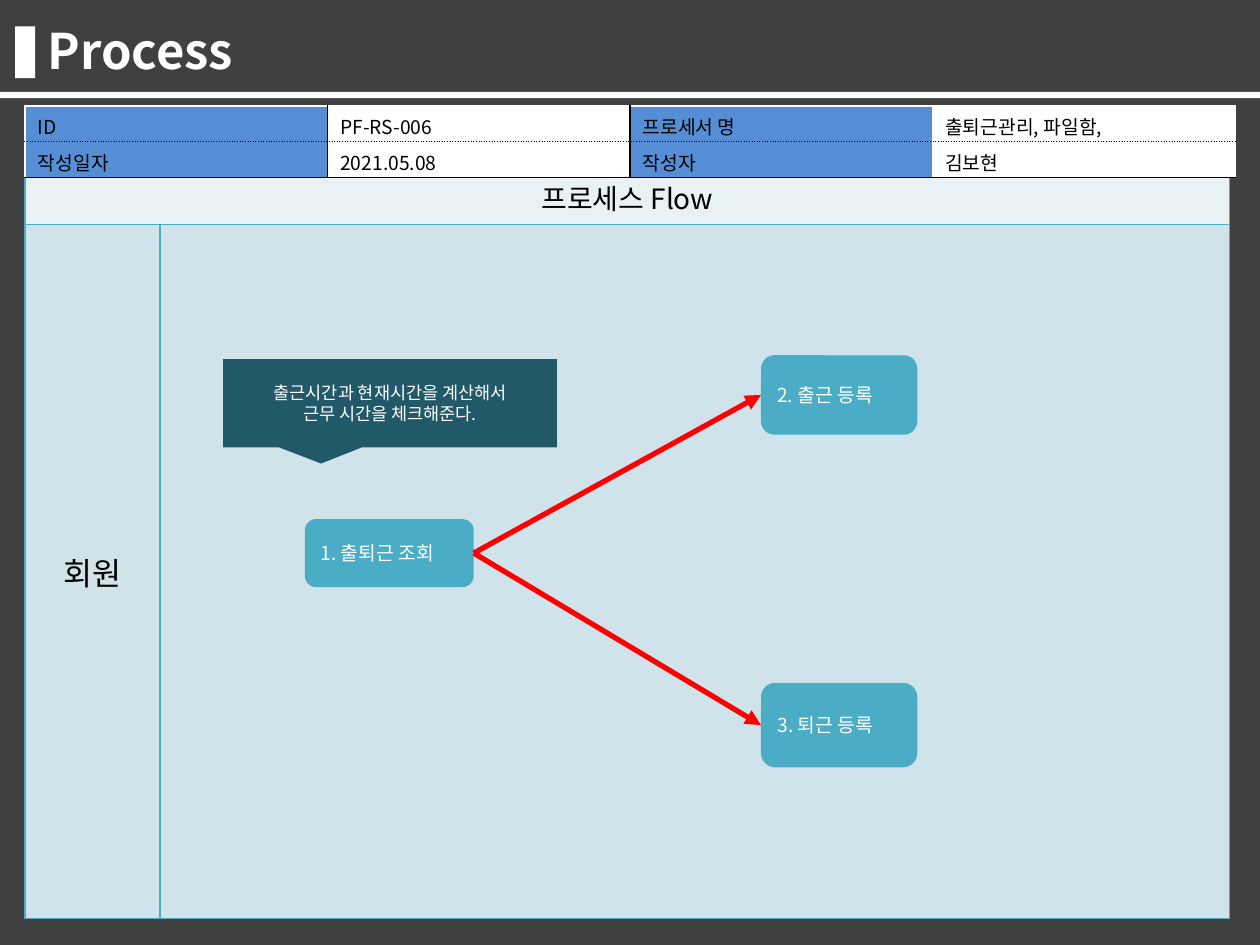
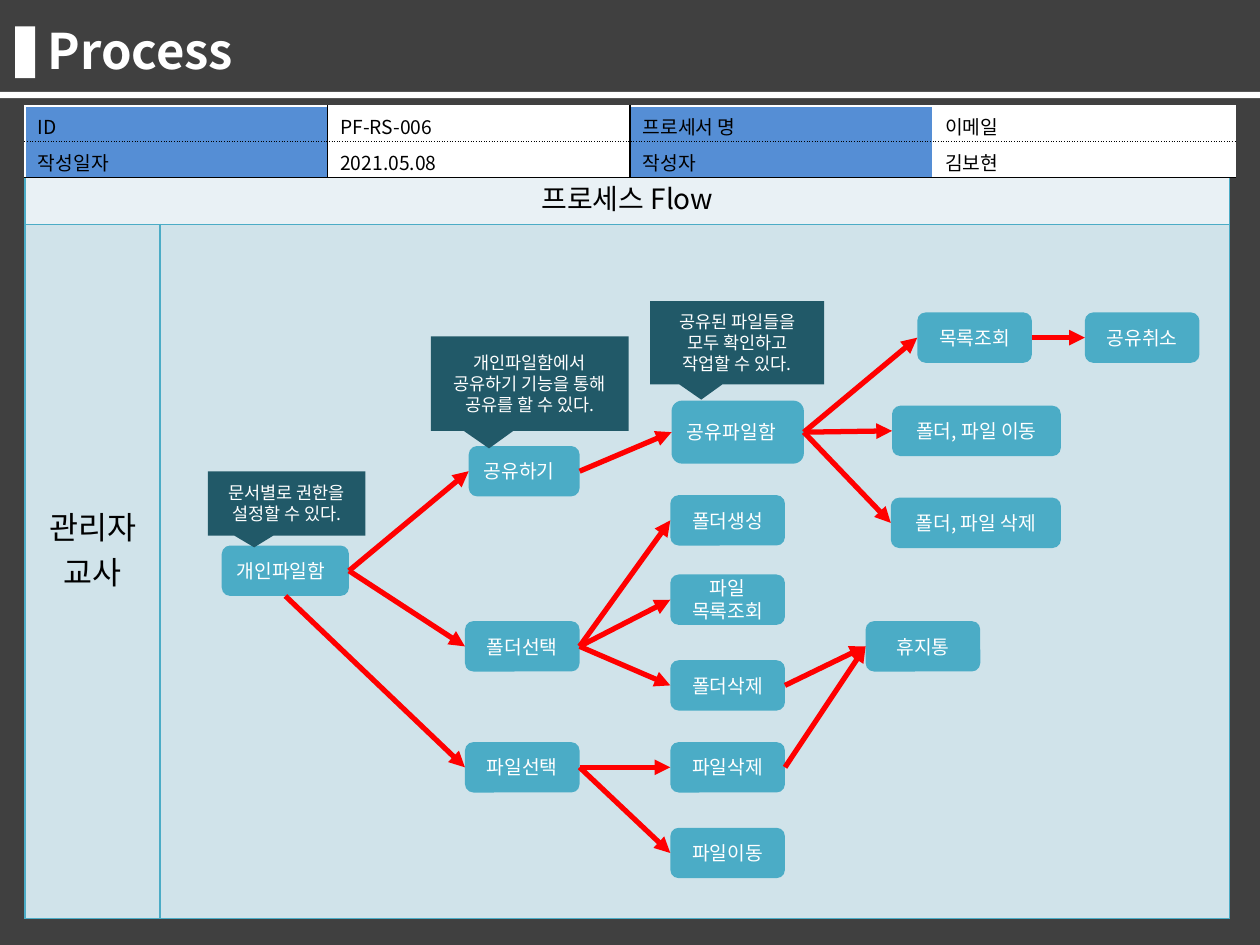
"""Build the two process flow slides."""
import lxml.etree
import pptx
import pptx.dml.color
import pptx.enum.dml
import pptx.enum.shapes
import pptx.enum.text
import pptx.oxml.ns
import pptx.util

Inches = pptx.util.Inches
Pt = pptx.util.Pt
Align = pptx.enum.text.PP_ALIGN
Anchor = pptx.enum.text.MSO_ANCHOR
Kind = pptx.enum.shapes.MSO_SHAPE
qn = pptx.oxml.ns.qn

FONT = "Noto Sans CJK KR"
DARK, WHITE, BLACK, RED = "404040", "FFFFFF", "000000", "FF0000"
TEAL, DEEP, BLUE = "4BACC6", "215968", "558ED5"
PALE, MIST = "E9F1F5", "D0E3EA"
TOP, LEFT, LOW, RIGHT = range(4)


def color(code):
    return pptx.dml.color.RGBColor.from_string(code)


def paint(fill, code):
    fill.solid()
    fill.fore_color.rgb = color(code)


def write(frame, text, size=11, ink=BLACK, bold=False, align=Align.LEFT):
    for num, line in enumerate(text.split("\n")):
        para = frame.paragraphs[0] if num == 0 else frame.add_paragraph()
        para.alignment = align
        run = para.add_run()
        run.text = line
        font = run.font
        font.size, font.bold, font.name = Pt(size), bold, FONT
        font.color.rgb = color(ink)
        east = lxml.etree.SubElement(run._r.get_or_add_rPr(), qn("a:ea"))
        east.set("typeface", FONT)


def edge(cell, sides):
    props = cell._tc.get_or_add_tcPr()
    for num, (side, (code, dash)) in enumerate(zip("LRTB", sides)):
        line = lxml.etree.Element(qn("a:ln" + side), w=str(Pt(1)))
        fill = lxml.etree.SubElement(line, qn("a:solidFill"))
        lxml.etree.SubElement(fill, qn("a:srgbClr"), val=code)
        lxml.etree.SubElement(line, qn("a:prstDash"), val=dash)
        props.insert(num, line)


class Deck:
    def __init__(self):
        self.show = pptx.Presentation()
        self.show.slide_width = Inches(10)
        self.show.slide_height = Inches(7.5)
        self.slide = None

    def start(self, title):
        self.slide = self.show.slides.add_slide(self.show.slide_layouts[5])
        self.nodes = {}
        paint(self.slide.background.fill, DARK)
        head = self.slide.shapes.title
        head.left, head.top = Inches(0.28), Inches(0.11)
        head.width, head.height = Inches(8.98), Inches(0.57)
        frame = head.text_frame
        frame.auto_size = pptx.enum.text.MSO_AUTO_SIZE.NONE
        frame.vertical_anchor = Anchor.MIDDLE
        write(frame, title, size=28, ink=WHITE, bold=True)
        self.shape(Kind.RECTANGLE, (0.12, 0.21, 0.16, 0.41), WHITE)
        self.shape(Kind.RECTANGLE, (0, 0.73, 10, 0.05), WHITE)

    def shape(self, kind, box, code):
        item = self.slide.shapes.add_shape(kind, *map(Inches, box))
        item.shadow.inherit = False
        paint(item.fill, code)
        item.line.fill.background()
        item.text_frame.word_wrap = True
        item.text_frame.vertical_anchor = Anchor.MIDDLE
        return item

    def node(self, text, box, align=Align.CENTER):
        item = self.shape(Kind.ROUNDED_RECTANGLE, box, TEAL)
        write(item.text_frame, text, ink=WHITE, align=align)
        self.nodes[text] = item

    def note(self, text, box):
        item = self.shape(Kind.RECTANGULAR_CALLOUT, box, DEEP)
        item.adjustments[0], item.adjustments[1] = -0.206, 0.685
        write(item.text_frame, text, size=10, ink=WHITE, align=Align.CENTER)

    def arrow(self, start, end, site=RIGHT):
        link = self.slide.shapes.add_connector(
            pptx.enum.shapes.MSO_CONNECTOR.STRAIGHT, 0, 0, 0, 0)
        link.begin_connect(self.nodes[start], site)
        link.end_connect(self.nodes[end], LEFT)
        link.line.color.rgb = color(RED)
        link.line.width = Pt(3)
        line = link.line._get_or_add_ln()
        lxml.etree.SubElement(line, qn("a:tailEnd"), type="triangle")
        lxml.etree.SubElement(link._element.spPr, qn("a:effectLst"))

    def table(self, left, top, cols, rows):
        size = map(Inches, (left, top, sum(cols), sum(rows)))
        grid = self.slide.shapes.add_table(len(rows), len(cols), *size).table
        grid.first_row = grid.horz_banding = False
        for col, width in zip(grid.columns, cols):
            col.width = Inches(width)
        for row, height in zip(grid.rows, rows):
            row.height = Inches(height)
        return grid

    def flow(self, role):
        grid = self.table(0.2, 1.36, (1.07, 8.49), (0.42, 5.51))
        for cell, code in zip(grid.iter_cells(), (PALE, PALE, MIST, MIST)):
            paint(cell.fill, code)
            edge(cell, [(TEAL, "solid")] * 4)
        grid.cell(0, 0).merge(grid.cell(0, 1))
        write(grid.cell(0, 0).text_frame, "프로세스 Flow", size=16,
              align=Align.CENTER)
        cell = grid.cell(1, 0)
        cell.margin_top = Inches(2.58 - 0.37 * role.count("\n"))
        write(cell.text_frame, role, size=18, align=Align.CENTER)

    def info(self, name):
        rows = (("ID", "PF-RS-006", "프로세서 명", name),
                ("작성일자", "2021.05.08", "작성자", "김보현"))
        walls = [(code, "solid") for code in (WHITE, BLACK, BLACK, WHITE, WHITE)]
        rules = [(WHITE, "solid"), (BLACK, "sysDot"), (BLACK, "solid")]
        grid = self.table(0.2, 0.84, [2.4] * 4, [0.285] * 2)
        for y, row in enumerate(rows):
            for x, text in enumerate(row):
                cell = grid.cell(y, x)
                cell.margin_bottom = 0
                paint(cell.fill, WHITE if x % 2 else BLUE)
                edge(cell, walls[x:x + 2] + rules[y:y + 2])
                write(cell.text_frame, text)

    def page(self, role, name, nodes, notes, links):
        self.start("Process")
        self.flow(role)
        self.info(name)
        for node in nodes:
            self.node(*node)
        for note in notes:
            self.note(*note)
        for start, ends in links.items():
            for end in ends:
                self.arrow(start, end)


def main():
    deck = Deck()
    view, come, leave = "1. 출퇴근 조회", "2. 출근 등록", "3. 퇴근 등록"
    deck.page(
        "회원", "출퇴근관리, 파일함,",
        [(come, (6.04, 2.82, 1.24, 0.63), Align.LEFT),
         (view, (2.42, 4.12, 1.34, 0.54), Align.LEFT),
         (leave, (6.04, 5.42, 1.24, 0.67), Align.LEFT)],
        [("출근시간과 현재시간을 계산해서\n근무 시간을 체크해준다.",
          (1.77, 2.85, 2.65, 0.7))],
        {view: (come, leave)})

    wide, high = 0.91, 0.4
    places = (("폴더선택", 3.69, 4.93), ("파일선택", 3.69, 5.89),
              ("폴더생성", 5.32, 3.93), ("파일\n목록조회", 5.32, 4.56),
              ("폴더삭제", 5.32, 5.24), ("파일삭제", 5.32, 5.89),
              ("파일이동", 5.32, 6.57), ("휴지통", 6.87, 4.93),
              ("목록조회", 7.28, 2.48), ("공유취소", 8.61, 2.48))
    nodes = [(text, (x, y, wide, high)) for text, x, y in places]
    nodes += [("폴더, 파일 이동", (7.08, 3.22, 1.34, high)),
              ("폴더, 파일 삭제", (7.07, 3.95, 1.35, high)),
              ("개인파일함", (1.76, 4.33, 1.01, high), Align.LEFT),
              ("공유하기", (3.72, 3.54, 0.88, high), Align.LEFT),
              ("공유파일함", (5.33, 3.18, 1.05, 0.5), Align.LEFT)]
    deck.page(
        "관리자\n교사", "이메일", nodes,
        [("문서별로 권한을 설정할 수 있다.", (1.65, 3.74, 1.25, 0.51)),
         ("개인파일함에서 공유하기 기능을 통해 공유를 할 수 있다.",
          (3.42, 2.67, 1.57, 0.75)),
         ("공유된 파일들을 모두 확인하고 작업할 수 있다.",
          (5.16, 2.39, 1.38, 0.66))],
        {"개인파일함": ("공유하기", "폴더선택"),
         "공유하기": ("공유파일함",),
         "공유파일함": ("목록조회", "폴더, 파일 이동", "폴더, 파일 삭제"),
         "목록조회": ("공유취소",),
         "폴더선택": ("폴더생성", "파일\n목록조회", "폴더삭제"),
         "파일선택": ("파일삭제", "파일이동"),
         "폴더삭제": ("휴지통",),
         "파일삭제": ("휴지통",)})
    deck.arrow("개인파일함", "파일선택", site=LOW)
    deck.show.save("out.pptx")


if __name__ == "__main__":
    main()
